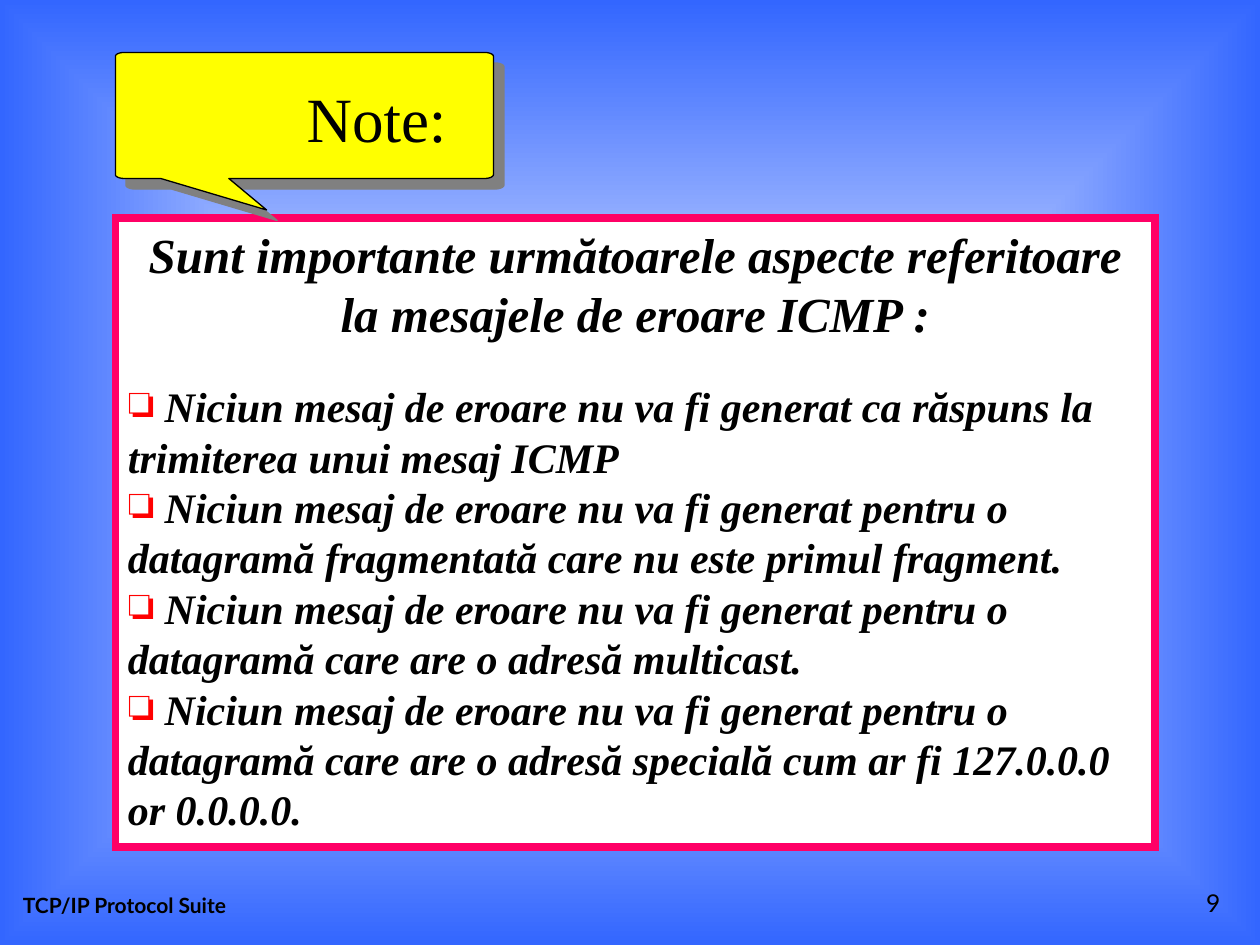
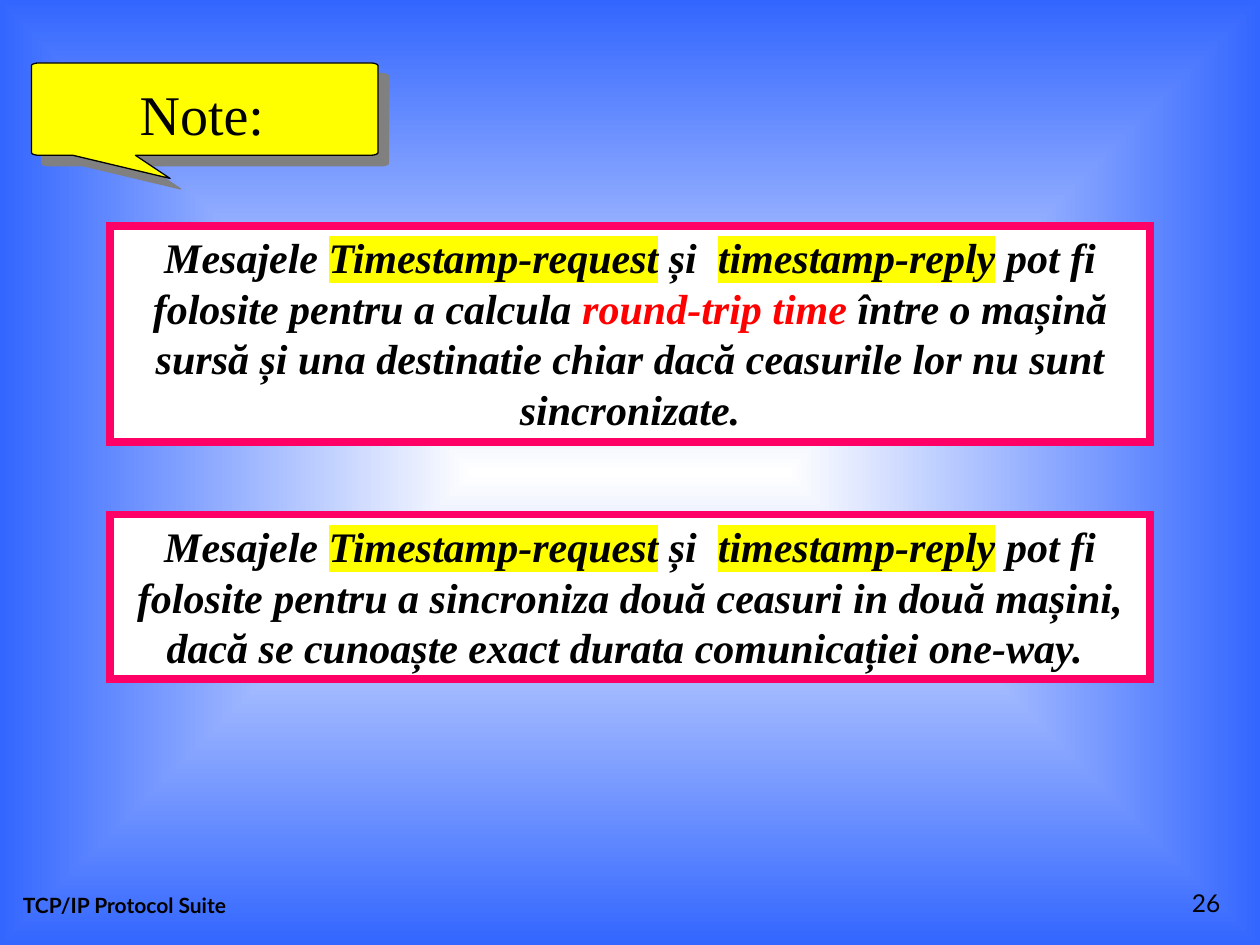
import math

import lxml.etree
import pptx
import pptx.dml.color
import pptx.enum.dml
import pptx.enum.shapes
import pptx.enum.text
import pptx.oxml.ns
import pptx.util

BLACK = pptx.dml.color.RGBColor(0x00, 0x00, 0x00)
WHITE = pptx.dml.color.RGBColor(0xFF, 0xFF, 0xFF)
BLUE = pptx.dml.color.RGBColor(0x33, 0x66, 0xFF)
YELLOW = pptx.dml.color.RGBColor(0xFF, 0xFF, 0x00)
PINK = pptx.dml.color.RGBColor(0xFF, 0x00, 0x66)
RED = pptx.dml.color.RGBColor(0xFF, 0x00, 0x00)
GRAY = pptx.dml.color.RGBColor(0x80, 0x80, 0x80)

SERIF = "Times New Roman"
SANS = "Lato"
LEFT = pptx.enum.text.PP_ALIGN.LEFT
CENTER = pptx.enum.text.PP_ALIGN.CENTER
RIGHT = pptx.enum.text.PP_ALIGN.RIGHT
TOP = pptx.enum.text.MSO_ANCHOR.TOP
BOTTOM = pptx.enum.text.MSO_ANCHOR.BOTTOM

deck = pptx.Presentation()
deck.slide_width = pptx.util.Inches(10)
deck.slide_height = pptx.util.Inches(7.5)
CELL = deck.slide_width / 120  # the slide is a grid of 120 columns and 90 rows


def grid(*cells):
    return [pptx.util.Emu(round(cell * CELL)) for cell in cells]


def add_child(parent, tag, **attributes):
    """Append a DrawingML element such as a:path and return it."""
    child = lxml.etree.SubElement(parent, pptx.oxml.ns.qn(tag))
    for name, value in attributes.items():
        child.set(name, str(value))
    return child


# Areas are left, top, width and height in grid cells.
# A paragraph is size, bulleted, and runs of text with their mark.
timestamp_start = [
    ("Mesajele ", None),
    ("Timestamp-request", "highlight"),
    (" și  ", None),
    ("timestamp-reply", "highlight"),
]
icmp_rules = [
    "ca răspuns la trimiterea unui mesaj ICMP",
    "pentru o datagramă fragmentată care nu este primul fragment.",
    "pentru o datagramă care are o adresă multicast.",
    "pentru o datagramă care are o adresă specială cum ar fi 127.0.0.0 or 0.0.0.0.",
]
icmp_paragraphs = [(28, False, [(
    "Sunt importante următoarele aspecte referitoare la mesajele de eroare ICMP :", None)])]
icmp_paragraphs += [
    (24, True, [(f" Niciun mesaj de eroare nu va fi generat {rule}", None)]) for rule in icmp_rules
]
notes = [
    {
        "number": "9",
        "callout": (11, 5, 36, 15),
        "title": (28, 7, 18, 8.4),
        "title_size": 36,
        "boxes": [((11, 20.8, 99, 59.9), icmp_paragraphs)],
    },
    {
        "number": "26",
        "callout": (3, 6, 33, 11),
        "title": (12.1, 7, 16, 7.7),
        "title_size": 32,
        "boxes": [
            ((10.5, 21.5, 99, 20.6), [(24, False, timestamp_start + [
                (" pot fi folosite pentru a calcula ", None),
                ("round-trip time ", "red"),
                ("între o mașină sursă și una destinatie chiar dacă ceasurile lor "
                 "nu sunt sincronizate.", None),
            ])]),
            ((10.5, 49, 99, 15.7), [(24, False, timestamp_start + [
                (" pot fi folosite pentru a sincroniza două ceasuri in două mașini, "
                 "dacă se cunoaște exact durata comunicației one-way. ", None),
            ])]),
        ],
    },
]

# Shared background: white centre fading to blue edges
background = deck.slide_master.background.fill
background.gradient()
for stop, color, position in zip(background.gradient_stops, (WHITE, BLUE), (0, 1)):
    stop.color.rgb = color
    stop.position = position
gradient = deck.slide_master.element.xpath(".//p:bgPr/a:gradFill")[0]
gradient.remove(gradient.find(pptx.oxml.ns.qn("a:lin")))
fade = add_child(gradient, "a:path", path="shape")
add_child(fade, "a:fillToRect", l=50000, t=50000, r=50000, b=50000)

for note in notes:
    page = deck.slides.add_slide(deck.slide_layouts[5])

    footers = [
        ((1, 82, 38, 6), "TCP/IP Protocol Suite", 12, True, LEFT),
        ((92.4, 82, 25, 6), note["number"], 14, False, RIGHT),
    ]
    for area, text, size, bold, alignment in footers:
        footer = page.shapes.add_textbox(*grid(*area))
        footer.text_frame.word_wrap = True
        footer.text_frame.vertical_anchor = BOTTOM
        para = footer.text_frame.paragraphs[0]
        para.text = text
        para.alignment = alignment
        para.font.name = SANS
        para.font.size = pptx.util.Pt(size)
        para.font.bold = bold
        para.font.color.rgb = BLACK

    for area, paragraphs in note["boxes"]:
        box = page.shapes.add_shape(pptx.enum.shapes.MSO_SHAPE.RECTANGLE, *grid(*area))
        box.shadow.inherit = False
        box.fill.solid()
        box.fill.fore_color.rgb = WHITE
        box.line.color.rgb = PINK
        box.line.width = pptx.util.Pt(4.5)
        border = box.element.spPr.find(pptx.oxml.ns.qn("a:ln"))
        add_child(border, "a:miter", lim=800000)  # square corners
        frame = box.text_frame
        frame.word_wrap = True
        frame.vertical_anchor = TOP
        for index, (size, bulleted, runs) in enumerate(paragraphs):
            para = frame.add_paragraph() if index else frame.paragraphs[0]
            para.alignment = LEFT if bulleted else CENTER
            para.space_before = pptx.util.Pt(12 if index == 1 else 0)
            para.space_after = pptx.util.Pt(0 if bulleted else 10)
            if bulleted:
                properties = para._p.get_or_add_pPr()
                properties.set("marL", "0")
                properties.set("indent", "0")
                add_child(add_child(properties, "a:buClr"), "a:srgbClr", val=RED)
                add_child(properties, "a:buSzPct", val=83000)
                add_child(properties, "a:buFont", typeface=SERIF)
                add_child(properties, "a:buChar", char="❏")
            para.font.name = SERIF
            para.font.size = pptx.util.Pt(size)
            para.font.bold = True
            para.font.italic = True
            para.font.color.rgb = BLACK
            for text, mark in runs:
                span = para.add_run()
                span.text = text
                if mark == "red":
                    span.font.color.rgb = RED
                elif mark == "highlight":
                    highlight = add_child(span._r.get_or_add_rPr(), "a:highlight")
                    add_child(highlight, "a:srgbClr", val=YELLOW)

    # Callout outline: rounded corners clockwise, with the tail on the lower edge
    left, top, width, height = grid(*note["callout"])
    radius_x, radius_y = 0.023 * width, 0.024 * height
    body_bottom = top + 0.8 * height
    corners = [
        (left + radius_x, top + radius_y, 180),
        (left + width - radius_x, top + radius_y, 270),
        (left + width - radius_x, body_bottom - radius_y, 0),
        (left + radius_x, body_bottom - radius_y, 90),
    ]
    outline = []
    for center_x, center_y, start in corners:
        if start == 90:
            for share_x, share_y in ((0.3, 0.8), (0.4, 1), (0.12, 0.8)):
                outline.append((left + share_x * width, top + share_y * height))
        for degrees in range(start, start + 91, 15):
            angle = math.radians(degrees)
            outline.append((center_x + radius_x * math.cos(angle),
                            center_y + radius_y * math.sin(angle)))
    builder = page.shapes.build_freeform(*map(round, outline[0]))
    builder.add_line_segments([(round(x), round(y)) for x, y in outline[1:]], close=True)
    callout = builder.convert_to_shape()
    callout.fill.solid()
    callout.fill.fore_color.rgb = YELLOW
    callout.line.color.rgb = BLACK
    callout.line.width = pptx.util.Pt(0.75)
    callout.shadow.inherit = False
    effects = callout.element.spPr.find(pptx.oxml.ns.qn("a:effectLst"))
    shadow = add_child(effects, "a:outerShdw", dist=pptx.util.Pt(8.5), dir=45 * 60000,
                       algn="ctr", rotWithShape=0)
    add_child(shadow, "a:srgbClr", val=GRAY)

    title = page.shapes.title
    title.left, title.top, title.width, title.height = grid(*note["title"])
    title.text_frame.auto_size = pptx.enum.text.MSO_AUTO_SIZE.NONE
    title.text_frame.word_wrap = True
    title.text_frame.vertical_anchor = TOP
    para = title.text_frame.paragraphs[0]
    para.text = "Note:"
    para.alignment = LEFT
    para.font.name = SERIF
    para.font.size = pptx.util.Pt(note["title_size"])
    para.font.color.rgb = BLACK
    callout.element.addnext(title.element)  # bring the title in front of its callout

deck.save("out.pptx")
